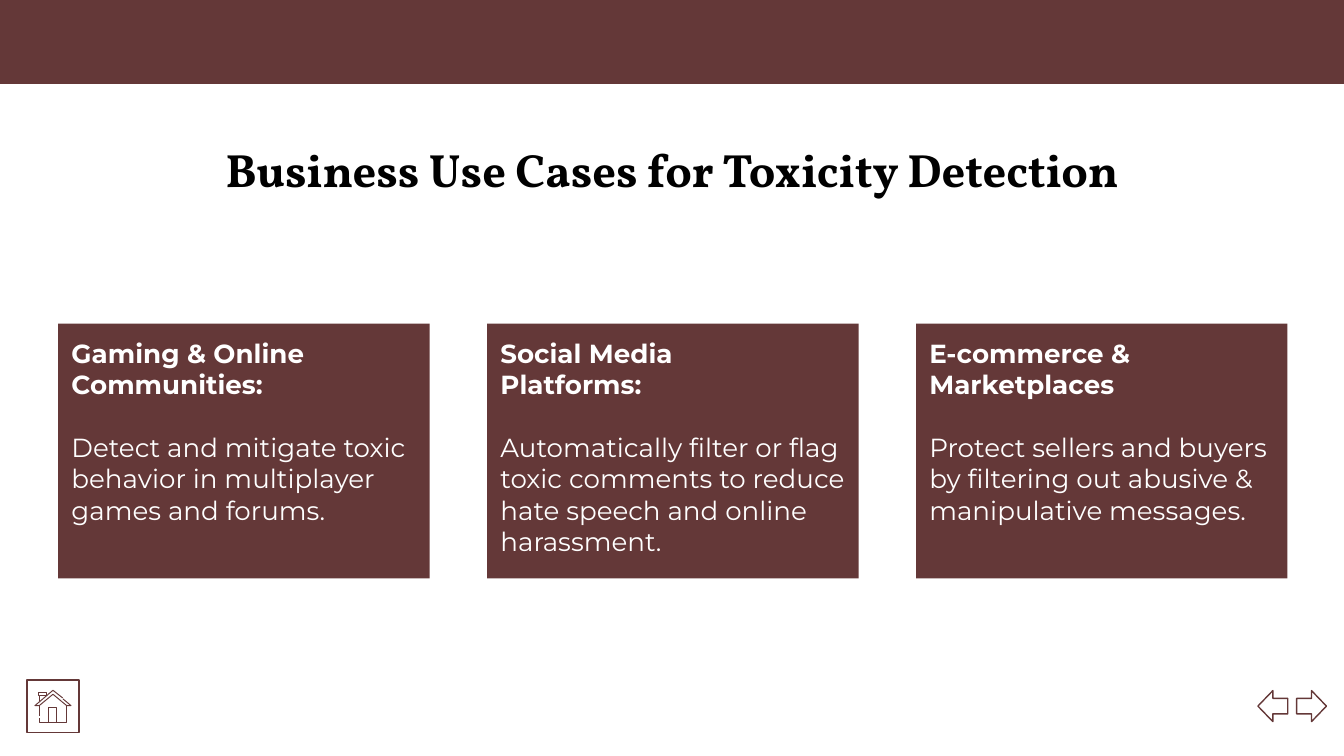
from dataclasses import dataclass

from pptx import Presentation
from pptx.dml.color import RGBColor
from pptx.enum import shapes, text
from pptx.util import Pt


@dataclass(frozen=True)
class Theme:
    maroon: RGBColor = RGBColor(0x64, 0x38, 0x38)
    white: RGBColor = RGBColor(0xFF, 0xFF, 0xFF)
    black: RGBColor = RGBColor(0, 0, 0)
    title_font: str = "Vollkorn"
    body_font: str = "Montserrat"
    title_size: float = 25
    body_size: float = 14
    body_gap: float = 17
    inset: float = 7.2
    outline: float = 0.75
    icon_stroke: float = 0.5


THEME = Theme()
SLIDE_WIDTH, SLIDE_HEIGHT = 720, 405

CARDS = [
    (["Gaming & Online Communities:"],
     "Detect and mitigate toxic behavior in multiplayer games and forums."),
    (["Social Media", "Platforms:"],
     "Automatically filter or flag toxic comments to reduce hate speech and online harassment."),
    (["E-commerce &", "Marketplaces"],
     "Protect sellers and buyers by filtering out abusive & manipulative messages."),
]

# Strokes of the house as fractions of its box.
HOUSE_STROKES = [
    [(0.77, 0.25), (0.5, 0.02), (0, 0.48), (0.12, 0.48), (0.5, 0.14),
     (0.88, 0.48), (1, 0.48), (0.78, 0.28)],
    [(0.13, 0.48), (0.13, 0.78)],
    [(0.13, 0.86), (0.13, 0.98), (0.88, 0.98), (0.88, 0.48)],
    [(0.39, 0.98), (0.39, 0.54), (0.61, 0.54), (0.61, 0.98)],
    [(0.13, 0.34), (0.13, 0.17), (0.11, 0.17), (0.11, 0.1),
     (0.31, 0.1), (0.31, 0.17), (0.13, 0.17)],
]


def add_shape(slide, kind, box, fill, line=None):
    shape = slide.shapes.add_shape(kind, *map(Pt, box))
    shape.shadow.inherit = False
    shape.fill.solid()
    shape.fill.fore_color.rgb = fill
    if line is None:
        shape.line.fill.background()
    else:
        shape.line.color.rgb = line
        shape.line.width = Pt(THEME.outline)
    return shape


def prepare_frame(shape):
    frame = shape.text_frame
    frame.word_wrap = True
    frame.vertical_anchor = text.MSO_ANCHOR.TOP
    frame.margin_left = frame.margin_right = Pt(THEME.inset)
    frame.margin_top = frame.margin_bottom = Pt(THEME.inset)
    return frame


def style_paragraph(paragraph, font, size, color, bold, align):
    paragraph.alignment = align
    for run in paragraph.runs:
        run.font.name = font
        run.font.size = Pt(size)
        run.font.color.rgb = color
        run.font.bold = bold


def add_header(slide, box):
    add_shape(slide, shapes.MSO_SHAPE.RECTANGLE, box, THEME.maroon)


def add_title(slide, box):
    frame = prepare_frame(slide.shapes.add_textbox(*map(Pt, box)))
    frame.text = "Business Use Cases for Toxicity Detection"
    style_paragraph(frame.paragraphs[0], THEME.title_font, THEME.title_size,
                    THEME.black, True, text.PP_ALIGN.CENTER)


def add_card(slide, box, heading, body):
    card = add_shape(slide, shapes.MSO_SHAPE.RECTANGLE, box, THEME.maroon)
    frame = prepare_frame(card)
    frame.text = "\n".join([*heading, body])
    last = len(heading)
    for index, paragraph in enumerate(frame.paragraphs):
        style_paragraph(paragraph, THEME.body_font, THEME.body_size,
                        THEME.white, index < last, text.PP_ALIGN.LEFT)
    frame.paragraphs[last].space_before = Pt(THEME.body_gap)


def add_cards(slide, box, card_width):
    """Spread the cards evenly across the box."""
    left, top, width, height = box
    step = (width - card_width) / (len(CARDS) - 1)
    for index, (heading, body) in enumerate(CARDS):
        add_card(slide, (left + index * step, top, card_width, height), heading, body)


def add_home_button(slide, box):
    add_shape(slide, shapes.MSO_SHAPE.RECTANGLE, box, THEME.white, THEME.maroon)
    left, top, width, height = box
    house_width, house_height = 0.69 * width, 0.64 * height
    house_left = left + (width - house_width) / 2
    house_top = top + (height - house_height) / 2

    strokes = [[(Pt(house_left + x * house_width), Pt(house_top + y * house_height))
                for x, y in stroke] for stroke in HOUSE_STROKES]
    builder = slide.shapes.build_freeform(*strokes[0][0])
    for stroke in strokes:
        builder.move_to(*stroke[0])
        builder.add_line_segments(stroke[1:], close=False)
    house = builder.convert_to_shape()
    house.shadow.inherit = False
    house.fill.background()
    house.line.color.rgb = THEME.maroon
    house.line.width = Pt(THEME.icon_stroke)


def add_page_arrows(slide, box, arrow_width):
    left, top, width, height = box
    for x, rotation in ((left, 0), (left + width - arrow_width, 180)):
        arrow = add_shape(slide, shapes.MSO_SHAPE.LEFT_ARROW,
                          (x, top, arrow_width, height), THEME.white, THEME.maroon)
        arrow.rotation = rotation


def add_use_cases_slide(presentation):
    slide = presentation.slides.add_slide(presentation.slide_layouts[6])
    add_header(slide, (0, 0, SLIDE_WIDTH, 45))
    add_title(slide, (56, 68.4, 608, 43.2))
    add_page_arrows(slide, (673.9, 370, 36.7, 16.6), 16)
    add_home_button(slide, (14.4, 364.4, 28, 28))
    add_cards(slide, (31.2, 173.3, 658.6, 136.6), 199)


def main():
    presentation = Presentation()
    presentation.slide_width = Pt(SLIDE_WIDTH)
    presentation.slide_height = Pt(SLIDE_HEIGHT)
    add_use_cases_slide(presentation)
    presentation.save("out.pptx")


if __name__ == "__main__":
    main()
